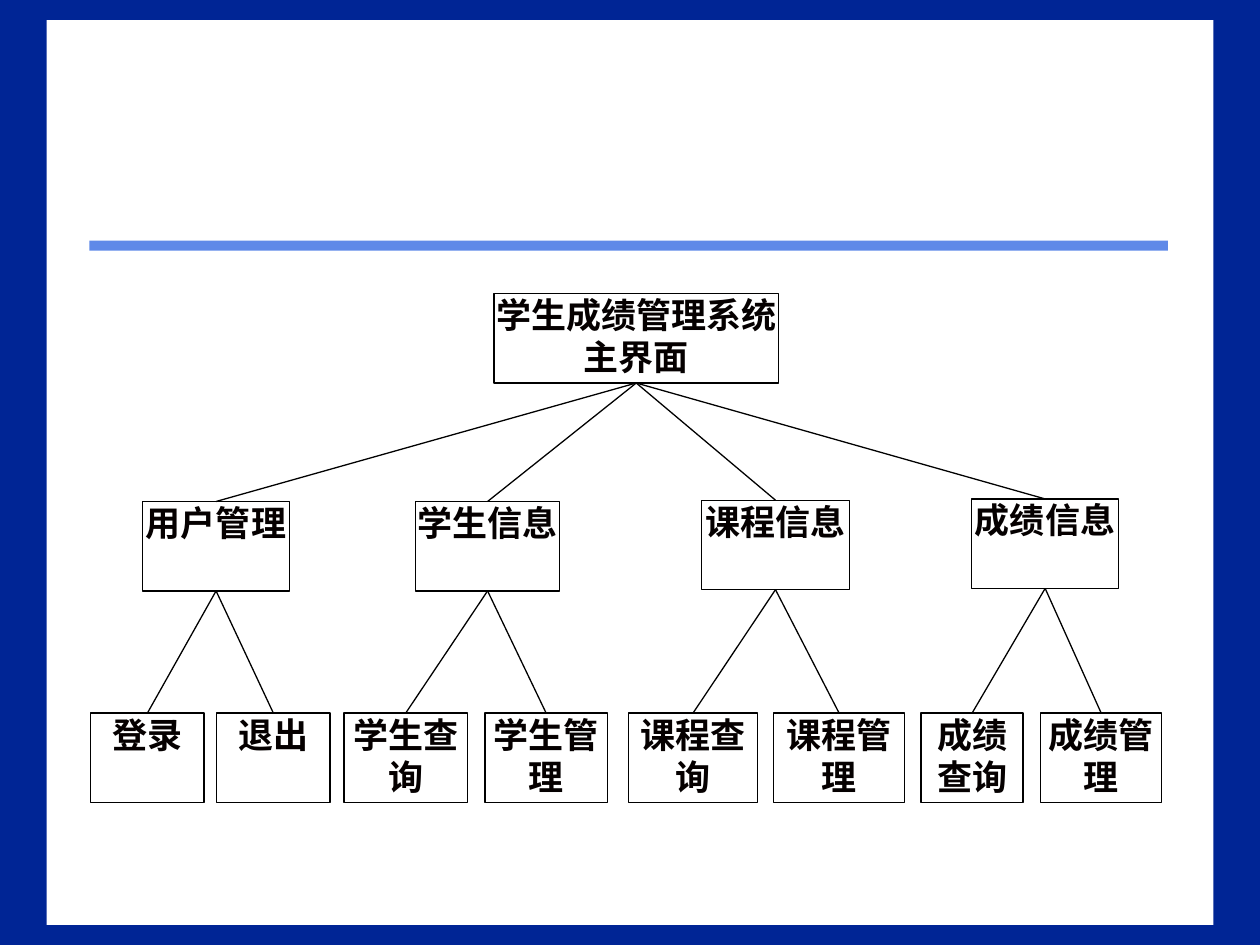
from lxml import etree
from pptx import Presentation
from pptx.dml.color import RGBColor
from pptx.enum import shapes, text
from pptx.oxml import ns
from pptx.util import Inches, Pt

COLORS = {
    "background": "002595",
    "panel": "FFFFFF",
    "rule": "5F89E8",
    "line": "000000",
    "text": "050000",
}
FONT = "Times New Roman"
BOX_HEIGHT = 0.71
LEAF_TOP = 5.66

ROOT = ("学生成绩管理系统主界面", 3.92, 2.33, 2.26)
# Each branch: (label, left, top, width), then its leaves as (label, left, width).
BRANCHES = [
    (("用户管理", 1.13, 3.98, 1.17), [("登录", 0.72, 0.9), ("退出", 1.72, 0.9)]),
    (("学生信息", 3.3, 3.98, 1.14), [("学生查询", 2.73, 0.98), ("学生管理", 3.85, 0.97)]),
    (("课程信息", 5.57, 3.97, 1.17), [("课程查询", 4.99, 1.02), ("课程管理", 6.14, 1.04)]),
    (("成绩信息", 7.71, 3.96, 1.17), [("成绩查询", 7.31, 0.81), ("成绩管理", 8.26, 0.96)]),
]


def color(name):
    return RGBColor.from_string(COLORS[name])


def add_rectangle(slide, left, top, width, height, fill):
    shape = slide.shapes.add_shape(
        shapes.MSO_SHAPE.RECTANGLE,
        Inches(left), Inches(top), Inches(width), Inches(height),
    )
    shape.shadow.inherit = False
    shape.fill.solid()
    shape.fill.fore_color.rgb = color(fill)
    shape.line.fill.background()
    return shape


def add_box(slide, label, left, top, width):
    """Add an outlined tree node with its label at the top."""
    box = add_rectangle(slide, left, top, width, BOX_HEIGHT, "panel")
    box.line.color.rgb = color("line")
    box.line.width = Pt(0.75)
    frame = box.text_frame
    frame.word_wrap = True
    frame.vertical_anchor = text.MSO_ANCHOR.TOP
    frame.margin_left = frame.margin_right = 0
    frame.margin_top = frame.margin_bottom = 0
    paragraph = frame.paragraphs[0]
    paragraph.text = label
    paragraph.alignment = text.PP_ALIGN.CENTER
    paragraph.font.name = FONT
    paragraph.font.size = Pt(20)
    paragraph.font.bold = True
    paragraph.font.color.rgb = color("text")
    return box


def connect(slide, parent, child):
    """Join the parent's bottom centre to the child's top centre."""
    connector = slide.shapes.add_connector(shapes.MSO_CONNECTOR.STRAIGHT, 0, 0, 0, 0)
    connector.begin_connect(parent, 2)
    connector.end_connect(child, 0)
    connector.line.color.rgb = color("line")
    connector.line.width = Pt(0.75)
    etree.SubElement(connector._element.spPr, ns.qn("a:effectLst"))


def add_tree(slide):
    root = add_box(slide, *ROOT)
    for branch, leaves in BRANCHES:
        branch_box = add_box(slide, *branch)
        connect(slide, root, branch_box)
        for label, left, width in leaves:
            leaf_box = add_box(slide, label, left, LEAF_TOP, width)
            connect(slide, branch_box, leaf_box)


def main():
    presentation = Presentation()
    presentation.slide_width = Inches(10)
    presentation.slide_height = Inches(7.5)
    slide = presentation.slides.add_slide(presentation.slide_layouts[6])
    slide.background.fill.solid()
    slide.background.fill.fore_color.rgb = color("background")
    add_rectangle(slide, 0.37, 0.16, 9.26, 7.18, "panel")
    add_rectangle(slide, 0.71, 1.91, 8.56, 0.08, "rule")
    add_tree(slide)
    presentation.save("out.pptx")


if __name__ == "__main__":
    main()
